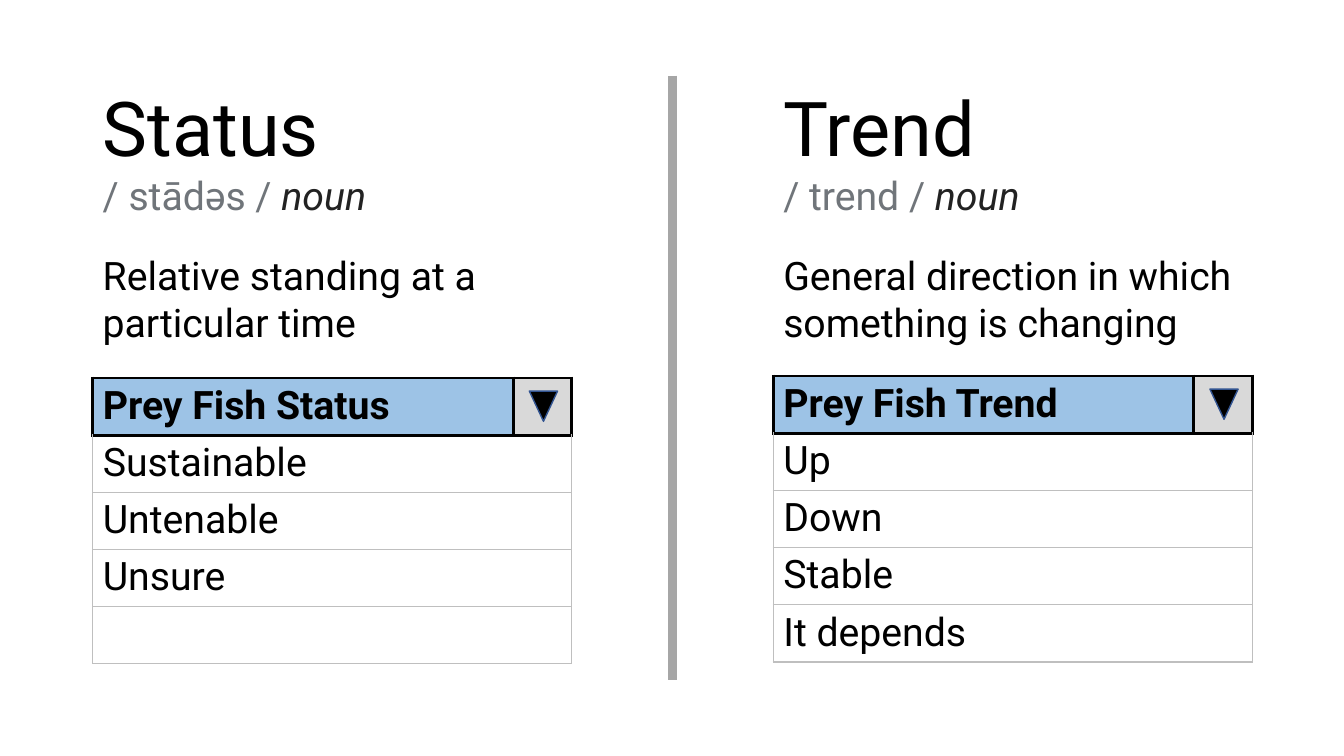
from lxml.etree import SubElement
from pptx import Presentation
from pptx.dml.color import RGBColor
from pptx.enum.shapes import MSO_CONNECTOR, MSO_SHAPE
from pptx.enum.text import MSO_AUTO_SIZE
from pptx.oxml.ns import qn
from pptx.util import Inches, Pt

FONT = "Roboto"
COLORS = {
    "black": "000000",
    "pronunciation": "70757A",
    "word_class": "222222",
    "header": "9DC3E6",
    "button": "D9D9D9",
    "white": "FFFFFF",
    "grid": "BFBFBF",
    "divider": "A6A6A6",
    "arrow_line": "325491",
}
TABLE_WIDTH, BUTTON_WIDTH, TABLE_HEIGHT = 4.75, 0.58, 2.83
ARROW_WIDTH, ARROW_HEIGHT = 0.28, 0.3


def color(name):
    return RGBColor.from_string(COLORS[name])


def style_font(font, size, color_name, bold=False):
    font.name = FONT
    font.size = Pt(size)
    font.bold = bold
    font.color.rgb = color(color_name)


def add_definition(page, left, width, word, pronunciation, meaning):
    box = page.shapes.add_textbox(Inches(left), Inches(0.75), Inches(width), Inches(2.76))
    frame = box.text_frame
    frame.word_wrap = True
    frame.auto_size = MSO_AUTO_SIZE.SHAPE_TO_FIT_TEXT

    title = frame.paragraphs[0]
    title.text = word
    style_font(title.font, 54, "black")

    # Pronunciation followed by the word class
    para = frame.add_paragraph()
    for text, color_name, italic in (
        (f"/ {pronunciation} / ", "pronunciation", False),
        ("noun", "word_class", True),
    ):
        span = para.add_run()
        span.text = text
        style_font(span.font, 28, color_name)
        span.font.italic = italic

    para = frame.add_paragraph()
    para.text = meaning
    para.space_before = Pt(23.5)
    style_font(para.font, 28, "black")


def style_cell(cell, fill_name, borders):
    """Borders are (color name, points) for left, right, top and bottom."""
    properties = cell._tc.get_or_add_tcPr()
    for side, (color_name, points) in zip("LRTB", borders):
        line = SubElement(properties, qn(f"a:ln{side}"), w=str(Pt(points)))
        fill = SubElement(line, qn("a:solidFill"))
        SubElement(fill, qn("a:srgbClr"), val=COLORS[color_name])
    cell.fill.solid()
    cell.fill.fore_color.rgb = color(fill_name)


def write_cell(cell, text, bold=False):
    para = cell.text_frame.paragraphs[0]
    para.text = text
    style_font(para.font, 28, "black", bold)


def add_dropdown(page, left, top, heading, options):
    frame = page.shapes.add_table(
        len(options) + 1, 2, Inches(left), Inches(top), Inches(TABLE_WIDTH), Inches(TABLE_HEIGHT)
    )
    table = frame.table
    table.first_row = table.horz_banding = False
    table.columns[0].width = Inches(TABLE_WIDTH - BUTTON_WIDTH)
    table.columns[1].width = Inches(BUTTON_WIDTH)
    thick, thin = ("black", 2.25), ("grid", 1)

    # Header with its button
    write_cell(table.cell(0, 0), heading, bold=True)
    for column, fill_name in enumerate(("header", "button")):
        style_cell(table.cell(0, column), fill_name, [thick] * 4)

    # Options, each across both columns
    for row, option in enumerate(options, start=1):
        table.cell(row, 0).merge(table.cell(row, 1))
        if option:
            write_cell(table.cell(row, 0), option)
        for column in range(2):
            upper = thick if row == 1 else thin
            style_cell(table.cell(row, column), "white", [thin, thin, upper, thin])

    # Arrow on the button
    arrow = page.shapes.add_shape(
        MSO_SHAPE.ISOSCELES_TRIANGLE,
        Inches(left + 4.33), Inches(top + 0.13), Inches(ARROW_WIDTH), Inches(ARROW_HEIGHT),
    )
    arrow.rotation = 180
    arrow.shadow.inherit = False
    arrow.fill.solid()
    arrow.fill.fore_color.rgb = color("black")
    arrow.line.color.rgb = color("arrow_line")
    arrow.line.width = Pt(1)


def add_divider(page):
    divider = page.shapes.add_connector(
        MSO_CONNECTOR.STRAIGHT, Inches(6.67), Inches(0.75), Inches(6.67), Inches(6.75)
    )
    divider.line.color.rgb = color("divider")
    divider.line.width = Pt(6)
    SubElement(divider._element.spPr, qn("a:effectLst"))


def main():
    deck = Presentation()
    deck.slide_width, deck.slide_height = Inches(13.33), Inches(7.5)
    page = deck.slides.add_slide(deck.slide_layouts[6])

    add_definition(page, 0.92, 4.75, "Status", "stādəs",
                   "Relative standing at a particular time")
    add_definition(page, 7.67, 5.08, "Trend", "trend",
                   "General direction in which something is changing")
    add_divider(page)
    add_dropdown(page, 7.67, 3.73, "Prey Fish Trend", ["Up", "Down", "Stable", "It depends"])
    add_dropdown(page, 0.92, 3.75, "Prey Fish Status", ["Sustainable", "Untenable", "Unsure", ""])

    deck.save("out.pptx")


if __name__ == "__main__":
    main()
